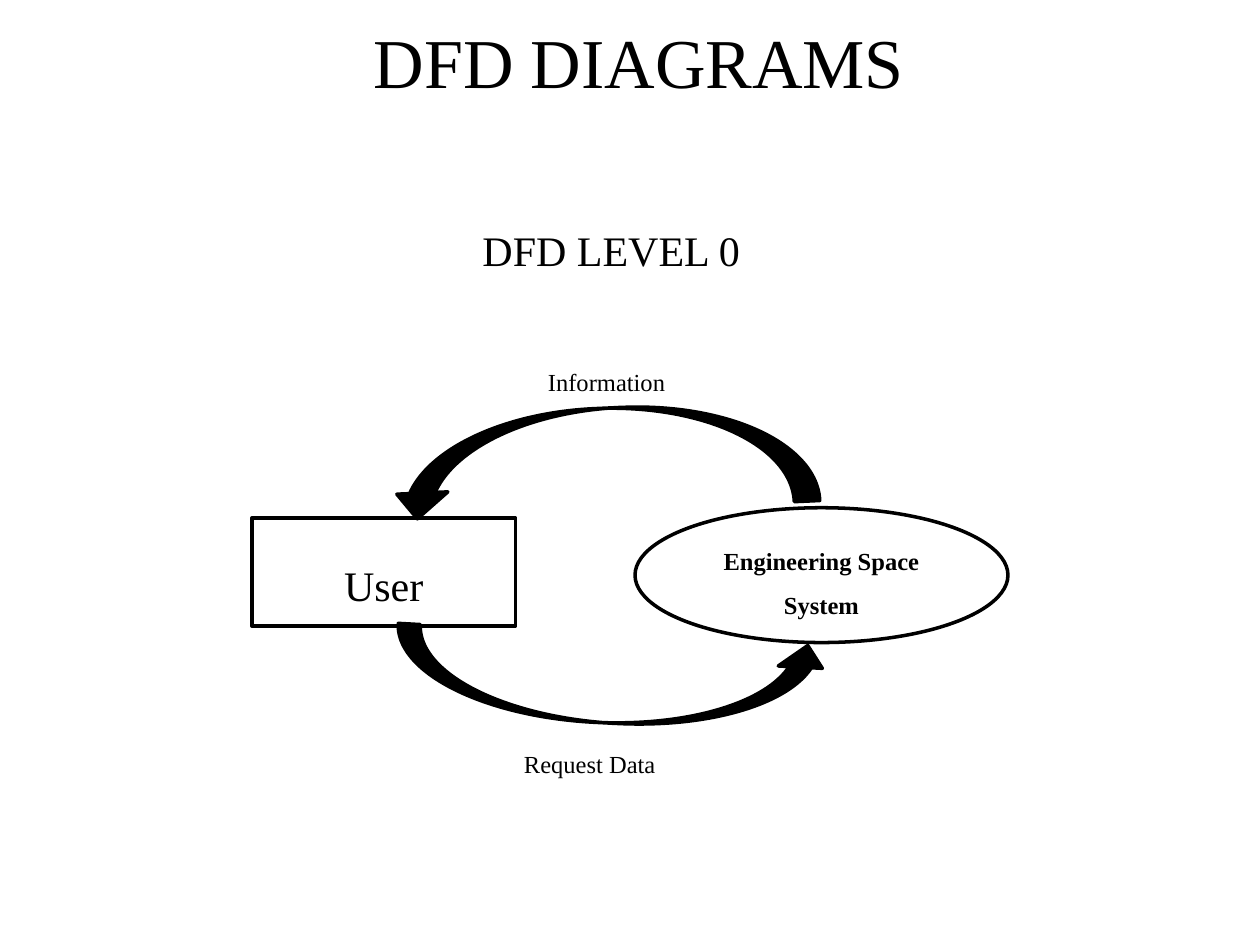
from pptx import Presentation
from pptx.dml.color import RGBColor
from pptx.enum.shapes import MSO_SHAPE as Kind
from pptx.enum.text import MSO_ANCHOR as Anchor, MSO_AUTO_SIZE as Fit, PP_ALIGN as Align
from pptx.util import Inches, Pt

COLORS = {"ink": "000000", "paper": "FFFFFF"}
FONT = "Times New Roman"


def color(name):
    return RGBColor.from_string(COLORS[name])


def write(frame, text, size, align=Align.CENTER, bold=False, loose=True):
    para = frame.paragraphs[0]
    para.alignment = align
    if loose:
        para.line_spacing = 1.5
        para.space_after = Pt(12)
    run = para.add_run()
    run.text = text
    font = run.font
    font.name, font.size, font.bold = FONT, Pt(size), bold
    font.color.rgb = color("ink")


def place(box, x, y, w, h):
    left, top = box[:2]
    return left + Inches(x), top + Inches(y), Inches(w), Inches(h)


def add_form(group, kind, spot, fill):
    form = group.shapes.add_shape(kind, *spot)
    form.shadow.inherit = False
    form.fill.solid()
    form.fill.fore_color.rgb = color(fill)
    form.line.color.rgb = color("ink")
    form.line.width = Pt(2)
    return form


def add_node(group, kind, spot, text, size, bold=False):
    frame = add_form(group, kind, spot, "paper").text_frame
    frame.word_wrap = True
    frame.vertical_anchor = Anchor.MIDDLE
    write(frame, text, size, bold=bold)


def add_arrow(group, kind, spot, turn, flip=False):
    arrow = add_form(group, kind, spot, "ink")
    arrow.rotation = turn
    if flip:
        arrow.element.spPr.xfrm.set("flipH", "1")


def add_label(group, spot, text):
    frame = group.shapes.add_textbox(*spot).text_frame
    frame.word_wrap = True
    write(frame, text, 14, Align.JUSTIFY)


def add_title(slide, box):
    title = slide.shapes.title
    title.left, title.top, title.width, title.height = box
    frame = title.text_frame
    frame.auto_size = Fit.NONE
    frame.vertical_anchor = Anchor.MIDDLE
    frame.margin_left = frame.margin_right = Inches(0.1)
    frame.margin_top = frame.margin_bottom = Inches(0.1)
    write(frame, "DFD DIAGRAMS", 40, loose=False)


def add_flow(slide, box):
    group = slide.shapes.add_group_shape()
    add_node(group, Kind.OVAL, place(box, 3.04, 2.3, 2.96, 1.07),
             "Engineering Space System", 14, True)
    add_node(group, Kind.FLOWCHART_PROCESS, place(box, 0, 2.38, 2.09, 0.86),
             "User", 24)
    add_arrow(group, Kind.CURVED_DOWN_ARROW, place(box, 1.09, 1.51, 3.4, 0.81),
              357.4, True)
    add_arrow(group, Kind.CURVED_UP_ARROW, place(box, 1.14, 3.31, 3.43, 0.7), 3.1)
    add_label(group, place(box, 2.25, 1.02, 1.42, 0.47), "Information")
    add_label(group, place(box, 2.06, 4.05, 1.71, 0.47), "Request Data")
    head = group.shapes.add_textbox(*place(box, 1.49, 0, 2.72, 0.57)).text_frame
    head.word_wrap = False
    head.auto_size = Fit.SHAPE_TO_FIT_TEXT
    write(head, "DFD LEVEL 0", 24, loose=False)


def main():
    deck = Presentation()
    deck.slide_width, deck.slide_height = Inches(10), Inches(7.5)
    slide = deck.slides.add_slide(deck.slide_layouts[5])
    slide.background.fill.solid()
    slide.background.fill.fore_color.rgb = color("paper")
    add_title(slide, (Inches(0.42), Inches(0.02), Inches(9.3), Inches(0.92)))
    add_flow(slide, (Inches(2), Inches(1.73), Inches(6), Inches(4.52)))
    deck.save("out.pptx")


if __name__ == "__main__":
    main()
